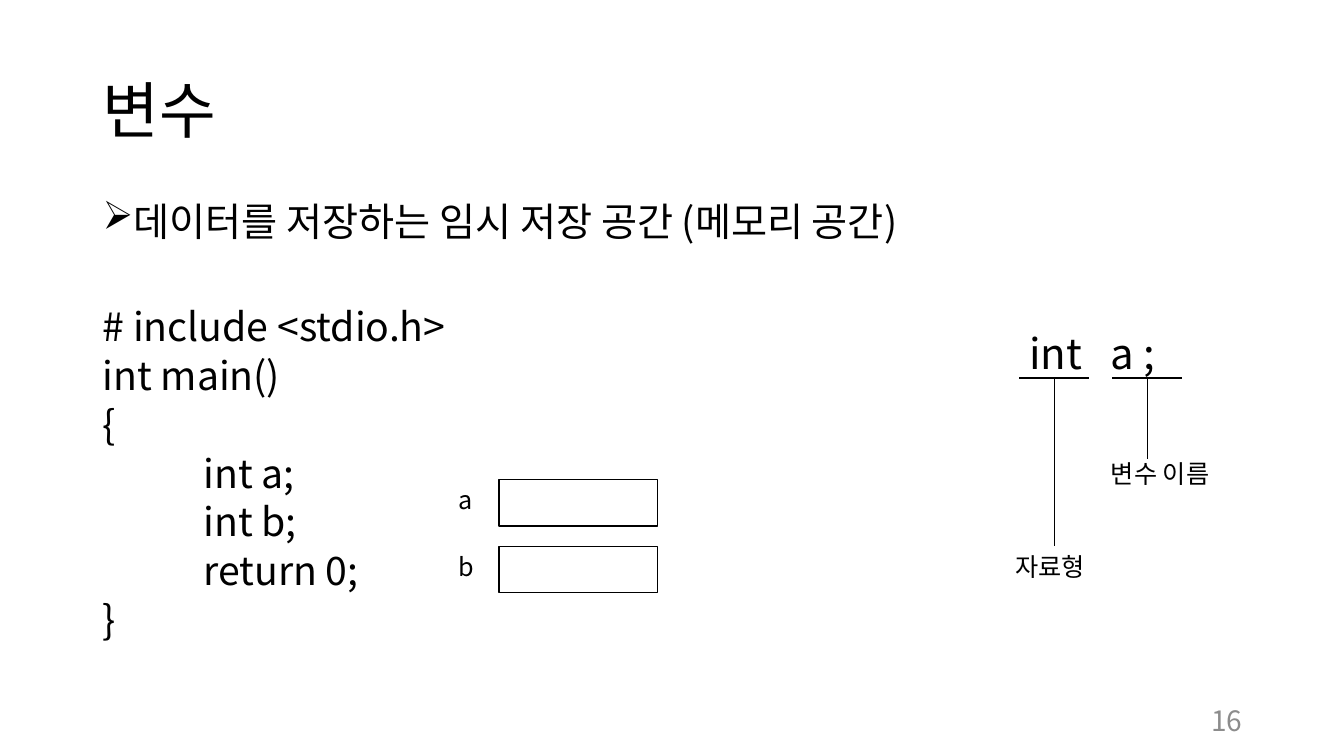
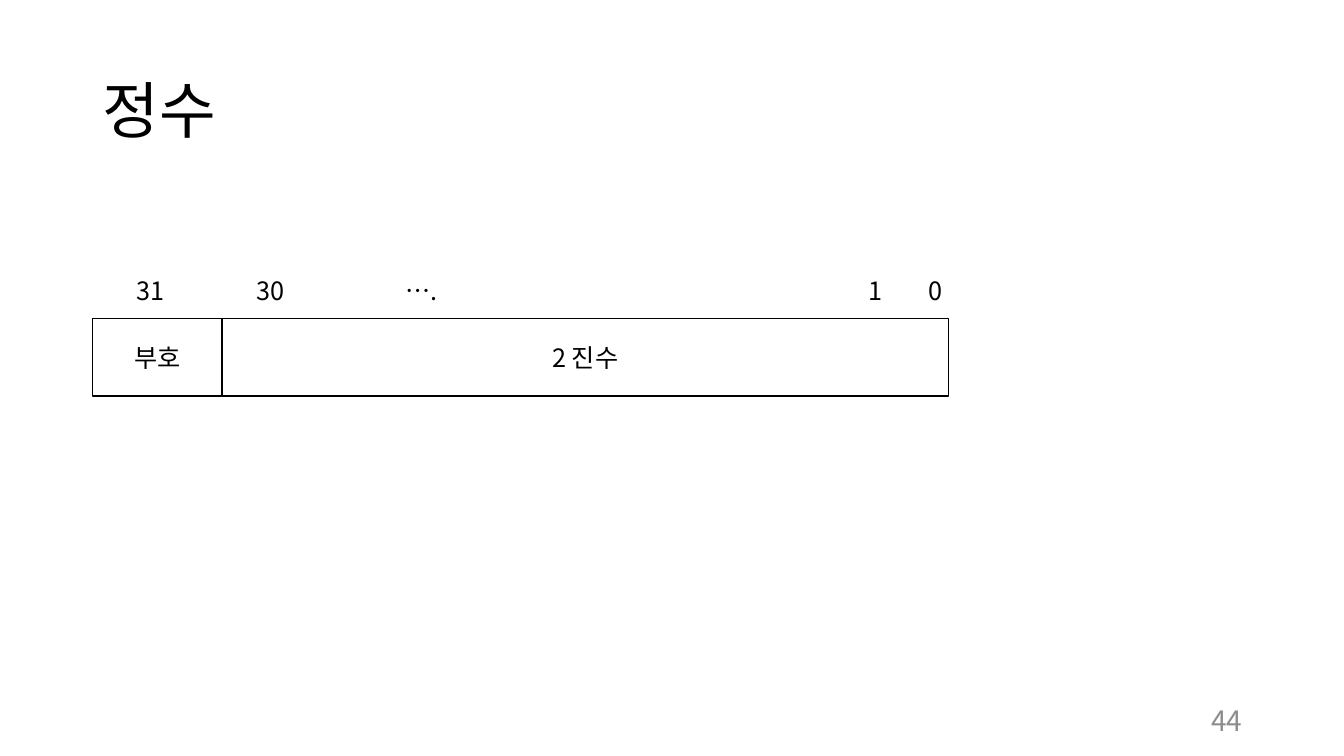
import pptx
import pptx.dml.color
import pptx.enum.shapes
import pptx.enum.text
import pptx.oxml.ns
import pptx.util
from lxml import etree

ALIGN = pptx.enum.text.PP_ALIGN
ANCHOR = pptx.enum.text.MSO_ANCHOR
qn = pptx.oxml.ns.qn


def px(n):
    """Turn px, 100 to the inch, into EMU."""
    return pptx.util.Emu(n * 9144)


def rgb(value):
    return pptx.dml.color.RGBColor.from_string(value)


class Deck:
    FONT = "Noto Sans CJK KR"
    INK, PAPER, GREY = "000000", "FFFFFF", "8C8C8C"

    def __init__(self):
        self.prs = pptx.Presentation()
        self.prs.slide_width, self.prs.slide_height = px(1333), px(750)
        self.s = None

    def slide(self, title, number):
        """Start a slide with its title and page number."""
        self.s = self.prs.slides.add_slide(self.prs.slide_layouts[5])
        sp = self.s.shapes.title
        sp.left, sp.top, sp.width, sp.height = map(px, (92, 40, 1150, 145))
        tf = sp.text_frame
        tf.auto_size = pptx.enum.text.MSO_AUTO_SIZE.NONE
        tf.vertical_anchor = ANCHOR.MIDDLE
        self.add_run(tf.paragraphs[0], title, 44, alignment=ALIGN.LEFT, line_spacing=0.9)
        self.text(942, 695, 300, 40, number, 20, self.GREY, ANCHOR.MIDDLE,
                  alignment=ALIGN.RIGHT)

    def add_run(self, p, text, size, color=INK, **paragraph_format):
        for name, value in paragraph_format.items():
            setattr(p, name, value)
        r = p.add_run()
        r.text = text
        r.font.name = self.FONT
        r.font.size = pptx.util.Pt(size)
        r.font.color.rgb = rgb(color)
        etree.SubElement(r.font._element, qn("a:ea"), typeface=self.FONT)

    def frame(self, x, y, w, h, anchor=ANCHOR.TOP):
        """Add a wrapping text box and return its text frame."""
        tf = self.s.shapes.add_textbox(px(x), px(y), px(w), px(h)).text_frame
        tf.word_wrap = True
        tf.vertical_anchor = anchor
        return tf

    def text(self, x, y, w, h, text, size=18, color=INK, anchor=ANCHOR.TOP, **fmt):
        tf = self.frame(x, y, w, h, anchor)
        self.add_run(tf.paragraphs[0], text, size, color, **fmt)

    def body(self, x, y, w, h, paragraphs):
        """Add (text, space before, left margin, bullet) paragraphs."""
        tf = self.frame(x, y, w, h)
        for i, (text, before, margin, bullet) in enumerate(paragraphs):
            p = tf.paragraphs[0] if i == 0 else tf.add_paragraph()
            self.add_run(p, text, 28, line_spacing=0.8, space_before=pptx.util.Pt(before))
            pPr = p._p.get_or_add_pPr()
            pPr.set("marL", str(px(margin)))
            pPr.set("indent", str(px(-margin if bullet else 0)))
            if bullet:
                etree.SubElement(pPr, qn("a:buChar"), char=bullet)

    def box(self, x, y, w, h, text=""):
        sp = self.s.shapes.add_shape(pptx.enum.shapes.MSO_SHAPE.RECTANGLE,
                                     px(x), px(y), px(w), px(h))
        sp.shadow.inherit = False
        sp.fill.solid()
        sp.fill.fore_color.rgb = rgb(self.PAPER)
        sp.line.color.rgb = rgb(self.INK)
        sp.line.width = pptx.util.Pt(1)
        if text:
            sp.text_frame.vertical_anchor = ANCHOR.MIDDLE
            self.add_run(sp.text_frame.paragraphs[0], text, 18, alignment=ALIGN.CENTER)

    def line(self, x1, y1, x2, y2, width=1):
        c = self.s.shapes.add_connector(pptx.enum.shapes.MSO_CONNECTOR.STRAIGHT,
                                        px(x1), px(y1), px(x2), px(y2))
        c.line.color.rgb = rgb(self.INK)
        c.line.width = pptx.util.Pt(width)
        etree.SubElement(c._element.spPr, qn("a:effectLst"))


def variables(deck):
    deck.slide("변수", "16")
    deck.body(92, 200, 896, 510, [
        ("데이터를 저장하는 임시 저장 공간 (메모리 공간)", 8, 25, "➢"),
        ("# include <stdio.h>", 48, 0, None),
        ("int main()", 8, 0, None),
        ("{", 8, 0, None),
        ("int a;", 8, 100, None),
        ("int b;", 8, 100, None),
        ("return 0;", 8, 100, None),
        ("}", 8, 0, None),
    ])
    for y, name in ((476, "a"), (542, "b")):
        deck.box(495, y, 157, 46)
        deck.text(445, y, 32, 40, name)

    # word, its left, underline left, stem end, label, label left, top and width
    declaration = [
        ("int", 1011, 1011, 542, "자료형", 997, 542, 106),
        ("a ;", 1092, 1103, 455, "변수 이름", 1092, 450, 134),
    ]
    underline_y, underline_w = 375, 69
    for word, x, left, end, label, label_x, label_y, label_w in declaration:
        deck.text(x, 320, 90, 61, word, 30)
        deck.line(left, underline_y, left + underline_w, underline_y, 1.5)
        middle = left + underline_w // 2 + 1
        deck.line(middle, underline_y, middle, end)
        deck.text(label_x, label_y, label_w, 40, label)


def integers(deck):
    deck.slide("정수", "44")
    deck.box(92, 316, 128, 77, "부호")
    deck.box(220, 316, 721, 77, "2 진수")
    for x, bit in ((126, "31"), (245, "30"), (392, "…."), (852, "1"), (911, "0")):
        deck.text(x, 268, 61, 40, bit)


def main():
    deck = Deck()
    variables(deck)
    integers(deck)
    deck.prs.save("out.pptx")


if __name__ == "__main__":
    main()
